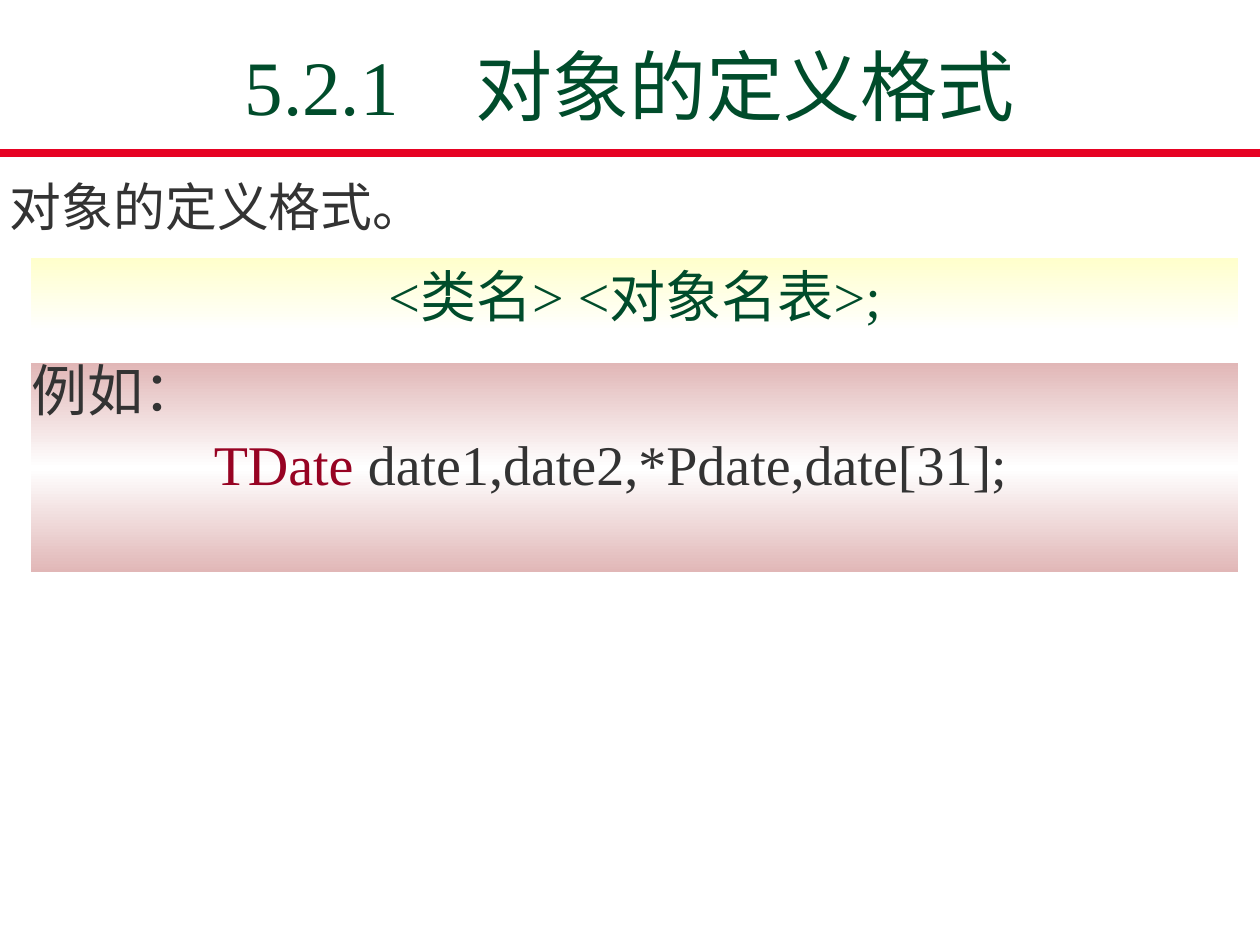
from lxml import etree
from pptx import Presentation
from pptx.dml.color import RGBColor
from pptx.enum.shapes import MSO_CONNECTOR, MSO_SHAPE
from pptx.enum.text import MSO_ANCHOR, PP_ALIGN
from pptx.oxml.ns import qn
from pptx.util import Cm, Pt

STRAIGHT = MSO_CONNECTOR.STRAIGHT
RECTANGLE = MSO_SHAPE.RECTANGLE
TOP, MIDDLE = MSO_ANCHOR.TOP, MSO_ANCHOR.MIDDLE
LEFT, CENTER = PP_ALIGN.LEFT, PP_ALIGN.CENTER

FONT = "Times New Roman"
COLORS = {
    "green": "004C2B",
    "red": "E60223",
    "crimson": "970323",
    "ink": "333333",
    "rose": "E1B7B7",
    "cream": "FFFFCC",
    "white": "FFFFFF",
}
SLIDE_WIDTH, SLIDE_HEIGHT = 25.4, 19.05
BAND_LEFT, BAND_WIDTH = 0.63, 24.33


def rgb(name):
    return RGBColor.from_string(COLORS[name])


def prepare_frame(shape, anchor):
    frame = shape.text_frame
    frame.word_wrap = True
    frame.vertical_anchor = anchor
    frame.margin_left = frame.margin_right = 0
    frame.margin_top = frame.margin_bottom = 0
    return frame


def write_line(paragraph, pieces, size, align=LEFT):
    paragraph.alignment = align
    for wording, color in pieces:
        run = paragraph.add_run()
        run.text = wording
        run.font.name = FONT
        run.font.size = Pt(size)
        run.font.color.rgb = rgb(color)


def add_label(slide, box, wording, color, size, align=LEFT):
    label = slide.shapes.add_textbox(*map(Cm, box))
    frame = prepare_frame(label, MIDDLE)
    write_line(frame.paragraphs[0], [(wording, color)], size, align)


def add_band(slide, box, shades, anchor):
    band = slide.shapes.add_shape(RECTANGLE, *map(Cm, box))
    band.shadow.inherit = False
    band.line.fill.background()
    band.fill.gradient()
    band.fill.gradient_angle = 270
    stops = band._element.spPr.find(qn("a:gradFill")).find(qn("a:gsLst"))
    for stop in list(stops):
        stops.remove(stop)
    for index, shade in enumerate(shades):
        position = 100000 * index // (len(shades) - 1)
        stop = etree.SubElement(stops, qn("a:gs"), pos=str(position))
        etree.SubElement(stop, qn("a:srgbClr"), val=COLORS[shade])
    return prepare_frame(band, anchor)


def add_heading(slide, left, top, width, height):
    add_label(slide, (left + 1.9, top + 0.86, width - 3.8, 1.7),
              "5.2.1\u3000对象的定义格式".replace("\u3000", "　"), "green", 44, CENTER)
    rule = slide.shapes.add_connector(
        STRAIGHT, Cm(left), Cm(top + height), Cm(left + width), Cm(top + height))
    rule.line.color.rgb = rgb("red")
    rule.line.width = Pt(4.5)
    etree.SubElement(rule._element.spPr, qn("a:effectLst"))


def add_syntax(slide, left, top, width, height):
    frame = add_band(slide, (left, top, width, height), ("cream", "white"), MIDDLE)
    write_line(frame.paragraphs[0], [("<类名> <对象名表>;", "green")], 32, CENTER)


def add_example(slide, left, top, width, height):
    frame = add_band(slide, (left, top, width, height), ("rose", "white", "rose"), TOP)
    caption = frame.paragraphs[0]
    caption.line_spacing = 0.9
    write_line(caption, [("例如：", "ink")], 32)

    declaration = frame.add_paragraph()
    declaration.line_spacing = 0.9
    declaration.space_before = Pt(8)
    declaration._p.get_or_add_pPr().set("marL", str(Cm(3.68)))
    write_line(declaration, [("TDate", "crimson"),
                             (" date1,date2,*Pdate,date[31];", "ink")], 32)


def main():
    presentation = Presentation()
    presentation.slide_width = Cm(SLIDE_WIDTH)
    presentation.slide_height = Cm(SLIDE_HEIGHT)
    slide = presentation.slides.add_slide(presentation.slide_layouts[6])

    add_heading(slide, 0, 0, SLIDE_WIDTH, 3.08)
    add_label(slide, (0.2, 3.5, 25.2, 1.28), "对象的定义格式。", "ink", 29.6)
    add_syntax(slide, BAND_LEFT, 5.2, BAND_WIDTH, 1.48)
    add_example(slide, BAND_LEFT, 7.32, BAND_WIDTH, 4.22)

    presentation.save("out.pptx")


if __name__ == "__main__":
    main()
